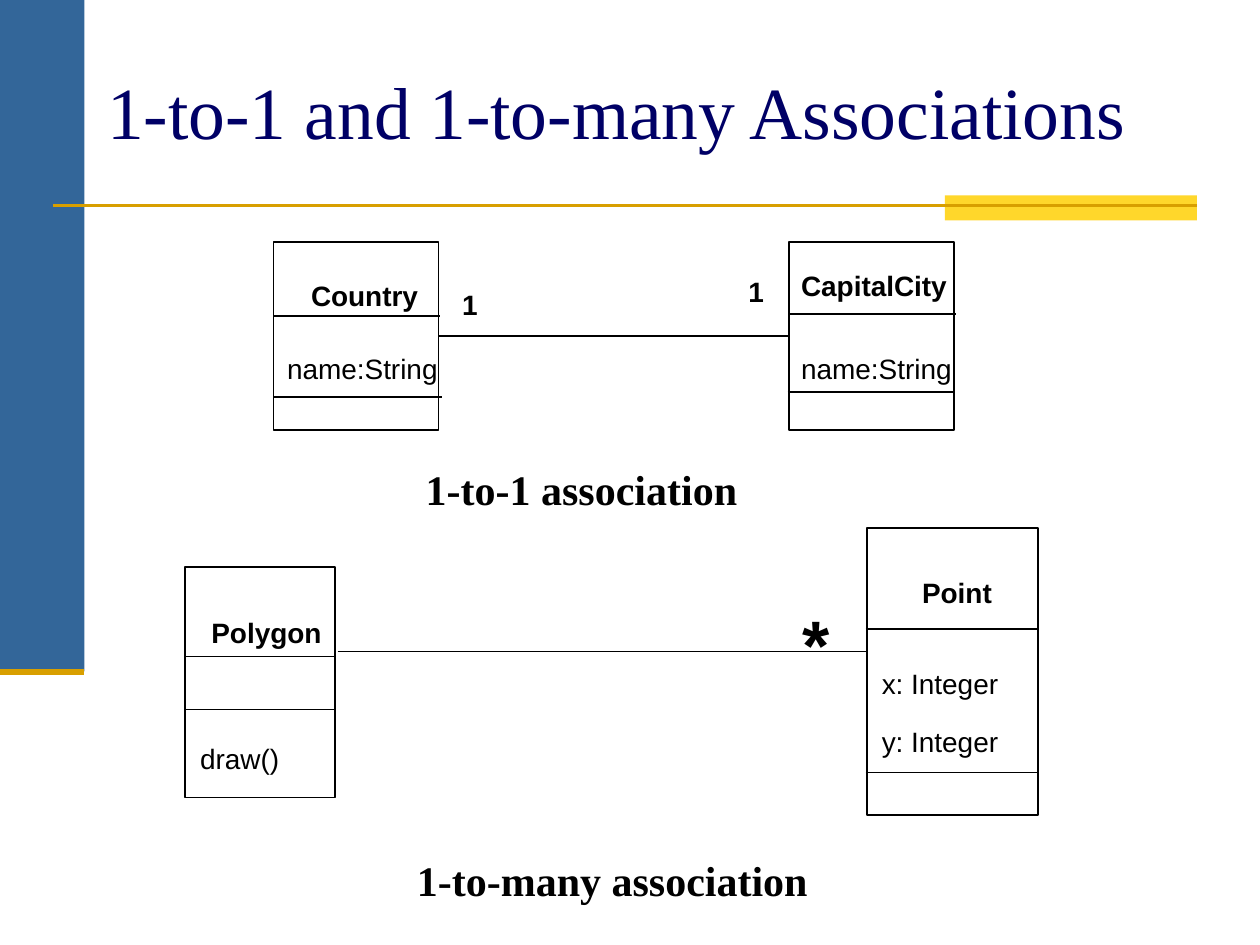
import pptx
import pptx.dml.color
import pptx.enum.shapes
import pptx.enum.text
import pptx.oxml
import pptx.oxml.ns
import pptx.util

THEME = {
    "ink": "000000", "title": "000066", "band": "336699",
    "accent": "FFD72B", "rule": "D89F00",
    "serif": "Times New Roman", "sans": "Arial",
    "title_size": 42, "caption_size": 24, "label_size": 16, "star_size": 40,
}

deck = pptx.Presentation()
deck.slide_width = pptx.util.Inches(10)
deck.slide_height = pptx.util.Inches(7.5)
COLUMN = deck.slide_width / 10
ROW = deck.slide_height / 7.5
page = deck.slides.add_slide(deck.slide_layouts[5])
rgb = pptx.dml.color.RGBColor.from_string
RECTANGLE = pptx.enum.shapes.MSO_SHAPE.RECTANGLE


def write(text, left, top, width, height, size=THEME["label_size"],
          font=THEME["sans"], color=THEME["ink"], bold=False, box=None):
    """Put one line of text in the given box, or in a new one."""
    place = [int(left * COLUMN), int(top * ROW), int(width * COLUMN), int(height * ROW)]
    if box is None:
        box = page.shapes.add_textbox(*place)
    box.left, box.top, box.width, box.height = place
    box.text_frame.word_wrap = True
    box.text_frame.auto_size = pptx.enum.text.MSO_AUTO_SIZE.NONE
    box.text_frame.margin_right = 0  # room for the line to stay whole
    para = box.text_frame.paragraphs[0]
    para.alignment = pptx.enum.text.PP_ALIGN.LEFT
    span = para.add_run()
    span.text = text
    span.font.size = pptx.util.Pt(size)
    span.font.name = font
    span.font.bold = bold
    span.font.color.rgb = rgb(color)


def draw_line(left, top, right, color=THEME["ink"], weight=1):
    """Draw a horizontal line without a shadow."""
    line = page.shapes.add_connector(
        pptx.enum.shapes.MSO_CONNECTOR.STRAIGHT,
        int(left * COLUMN), int(top * ROW), int(right * COLUMN), int(top * ROW))
    line.line.color.rgb = rgb(color)
    line.line.width = pptx.util.Pt(weight)
    properties = line._element.spPr
    properties.append(pptx.oxml.parse_xml(
        f'<a:effectLst {pptx.oxml.ns.nsdecls("a")}/>'))
    return line


# Side band, accent bar and rules
for left, top, width, height, color in [
    (0, 0, 0.67, 5.33, THEME["band"]),
    (7.5, 1.55, 2, 0.2, THEME["accent"]),
]:
    bar = page.shapes.add_shape(RECTANGLE, int(left * COLUMN), int(top * ROW),
                                int(width * COLUMN), int(height * ROW))
    bar.shadow.inherit = False
    bar.fill.solid()
    bar.fill.fore_color.rgb = rgb(color)
    bar.line.fill.background()
draw_line(0.42, 1.63, 9.5, color=THEME["rule"], weight=1.5)
draw_line(0, 5.33, 0.67, color=THEME["rule"], weight=3.5)

# Title
title = page.shapes.title
title.text_frame.vertical_anchor = pptx.enum.text.MSO_ANCHOR.MIDDLE
write("1-to-1 and 1-to-many Associations", 0.75, 0.25, 8.5, 1.25, box=title,
      size=THEME["title_size"], font=THEME["serif"], color=THEME["title"])

# Class boxes: frame, name label, member labels, compartment dividers
classes = [
    ("Country", (2.17, 1.92, 1.31, 1.49), (2.37, 2.16, 1.05),
     [("name:String", 2.18, 2.74, 1.39)], [(2.17, 2.51, 3.49), (2.17, 3.15, 3.51)]),
    ("CapitalCity", (6.26, 1.92, 1.31, 1.49), (6.26, 2.08, 1.36),
     [("name:String", 6.26, 2.74, 1.39)], [(6.27, 2.49, 7.59), (6.25, 3.11, 7.57)]),
    ("Polygon", (1.47, 4.5, 1.19, 1.83), (1.58, 4.84, 1.07),
     [("draw()", 1.49, 5.84, 0.83)], [(1.48, 5.21, 2.65), (1.48, 5.63, 2.67)]),
    ("Point", (6.88, 4.19, 1.36, 2.28), (7.22, 4.52, 0.75),
     [("x: Integer", 6.9, 5.24, 1.12), ("y: Integer", 6.9, 5.7, 1.12)],
     [(6.87, 4.99, 8.24), (6.87, 6.13, 8.24)]),
]
frames = {}
for name, (left, top, width, height), heading, members, dividers in classes:
    frame = page.shapes.add_shape(RECTANGLE, int(left * COLUMN), int(top * ROW),
                                  int(width * COLUMN), int(height * ROW))
    frame.shadow.inherit = False
    frame.fill.background()
    frame.line.color.rgb = rgb(THEME["ink"])
    frame.line.width = pptx.util.Pt(1)
    frames[name] = frame
    write(name, *heading, 0.36, bold=True)
    for member in members:
        write(*member, 0.36)
    for divider in dividers:
        draw_line(*divider)

# Associations and their multiplicities
association = draw_line(3.48, 2.67, 6.26)
association.begin_connect(frames["Country"], 3)
association.end_connect(frames["CapitalCity"], 1)
draw_line(2.68, 5.17, 6.88)
write("1", 3.57, 2.23, 0.32, 0.36, bold=True)
write("1", 5.84, 2.13, 0.32, 0.36, bold=True)
write("*", 6.27, 4.72, 0.41, 0.76, size=THEME["star_size"], bold=True)

# Captions
for caption, left, top, width in [
    ("1-to-1 association", 3.28, 3.63, 2.67),
    ("1-to-many association", 3.21, 6.73, 3.3),
]:
    write(caption, left, top, width, 0.5, size=THEME["caption_size"],
          font=THEME["serif"], bold=True)

deck.save("out.pptx")
